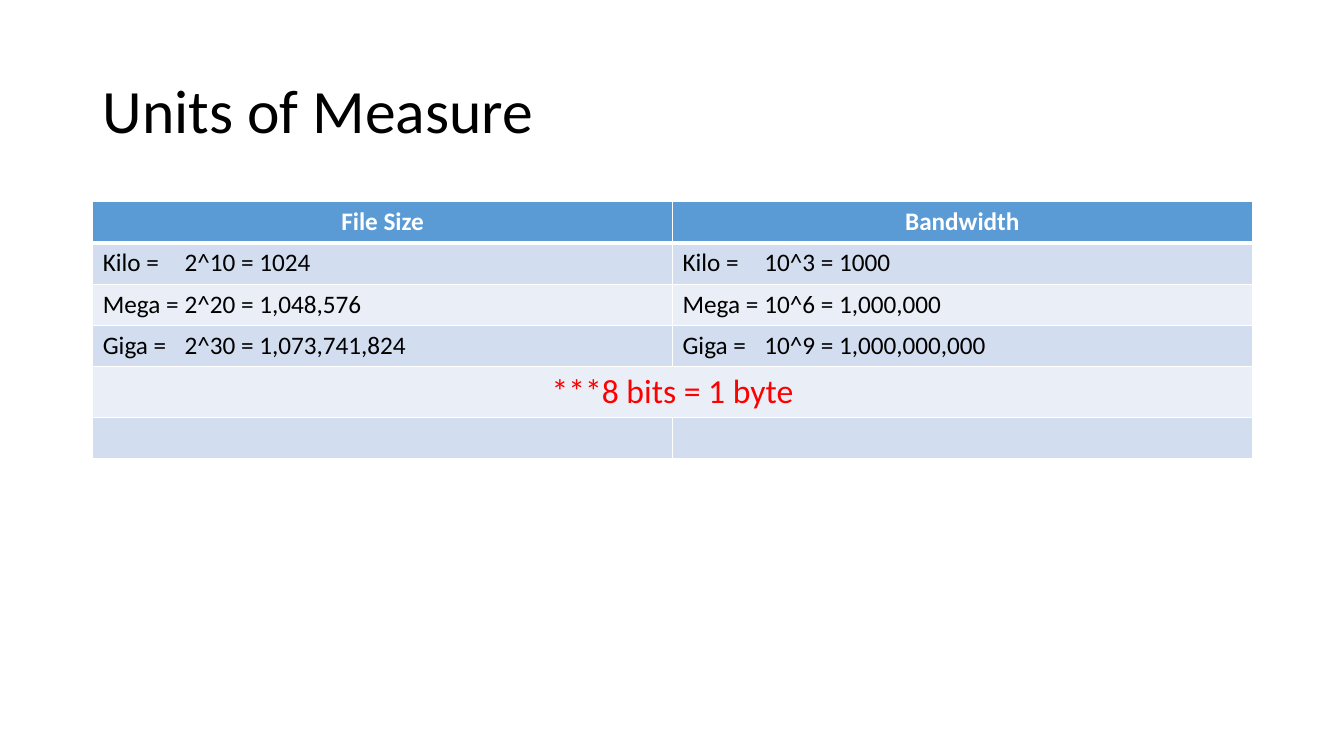
from dataclasses import dataclass
from typing import Any

from lxml import etree
from pptx import Presentation
from pptx import util as u
from pptx.dml.color import RGBColor
from pptx.enum import text
from pptx.oxml import ns

COLORS = {"black": "000000", "white": "FFFFFF", "red": "FF0000",
          "header": "5B9BD5", "band_dark": "D2DEEF", "band_light": "EAEFF7"}
LEFT, WIDTH = u.Inches(0.92), u.Inches(11.5)
ROW_HEIGHT = u.Inches(0.41)
VALUE_TAB = u.Inches(0.81)
CENTER = text.PP_ALIGN.CENTER


@dataclass(frozen=True)
class TextStyle:
    size: int
    color: str
    bold: bool = False
    align: Any = text.PP_ALIGN.LEFT


@dataclass(frozen=True)
class UnitRow:
    texts: tuple[str, ...]
    style: TextStyle
    fill: str
    merged: bool = False


TITLE = TextStyle(44, "black")
HEADER = TextStyle(18, "white", True, CENTER)
BODY = TextStyle(18, "black")
NOTE = TextStyle(24, "red", align=CENTER)

UNIT_ROWS = [
    UnitRow(("File Size", "Bandwidth"), HEADER, "header"),
    UnitRow(("Kilo =\t2^10 = 1024", "Kilo =\t10^3 = 1000"), BODY, "band_dark"),
    UnitRow(("Mega =\t2^20 = 1,048,576", "Mega =\t10^6 = 1,000,000"), BODY, "band_light"),
    UnitRow(("Giga =\t2^30 = 1,073,741,824", "Giga =\t10^9 = 1,000,000,000"), BODY, "band_dark"),
    UnitRow(("***8 bits = 1 byte", ""), NOTE, "band_light", merged=True),
    UnitRow(("", ""), BODY, "band_dark"),
]


def rgb(name: str) -> RGBColor:
    return RGBColor.from_string(COLORS[name])


def write(frame: Any, wording: str, style: TextStyle) -> Any:
    """Put one styled paragraph into a text frame."""
    paragraph = frame.paragraphs[0]
    paragraph.alignment = style.align
    if wording:
        run = paragraph.add_run()
        run.text = wording
        font_format = {"name": "Calibri", "size": u.Pt(style.size), "bold": style.bold}
        for attribute, value in font_format.items():
            setattr(run.font, attribute, value)
        run.font.color.rgb = rgb(style.color)
    return paragraph


def add_tab_stop(paragraph: Any, position: int) -> None:
    properties = paragraph._p.get_or_add_pPr()
    stops = etree.SubElement(properties, ns.qn("a:tabLst"))
    etree.SubElement(stops, ns.qn("a:tab"), pos=str(position), algn="l")


def add_borders(cell: Any, top: int, bottom: int) -> None:
    """Draw white cell edges; widths are in points."""
    properties = cell._tc.get_or_add_tcPr()
    for side, width in {"L": 1, "R": 1, "T": top, "B": bottom}.items():
        line = etree.SubElement(properties, ns.qn(f"a:ln{side}"), w=str(u.Pt(width)))
        solid = etree.SubElement(line, ns.qn("a:solidFill"))
        etree.SubElement(solid, ns.qn("a:srgbClr"), val=COLORS["white"])


prs = Presentation()
prs.slide_width, prs.slide_height = u.Inches(13.33), u.Inches(7.5)
slide = prs.slides.add_slide(prs.slide_layouts[6])

# Title
title_frame = slide.shapes.add_textbox(LEFT, u.Inches(0.4), WIDTH, u.Inches(1.45)).text_frame
title_format = {"word_wrap": True, "vertical_anchor": text.MSO_ANCHOR.MIDDLE}
for attribute, value in title_format.items():
    setattr(title_frame, attribute, value)
write(title_frame, "Units of Measure", TITLE).line_spacing = 0.9

# Table of units
units = slide.shapes.add_table(len(UNIT_ROWS), 2, LEFT, u.Inches(2), WIDTH,
                               ROW_HEIGHT * len(UNIT_ROWS)).table
for row_index, unit_row in enumerate(UNIT_ROWS):
    if unit_row.merged:
        units.cell(row_index, 0).merge(units.cell(row_index, 1))
    for column_index, wording in enumerate(unit_row.texts):
        cell = units.cell(row_index, column_index)
        add_borders(cell, top=3 if row_index == 1 else 1, bottom=3 if row_index == 0 else 1)
        cell.fill.solid()
        cell.fill.fore_color.rgb = rgb(unit_row.fill)
        paragraph = write(cell.text_frame, wording, unit_row.style)
        if "\t" in wording:
            add_tab_stop(paragraph, VALUE_TAB)

prs.save("out.pptx")
